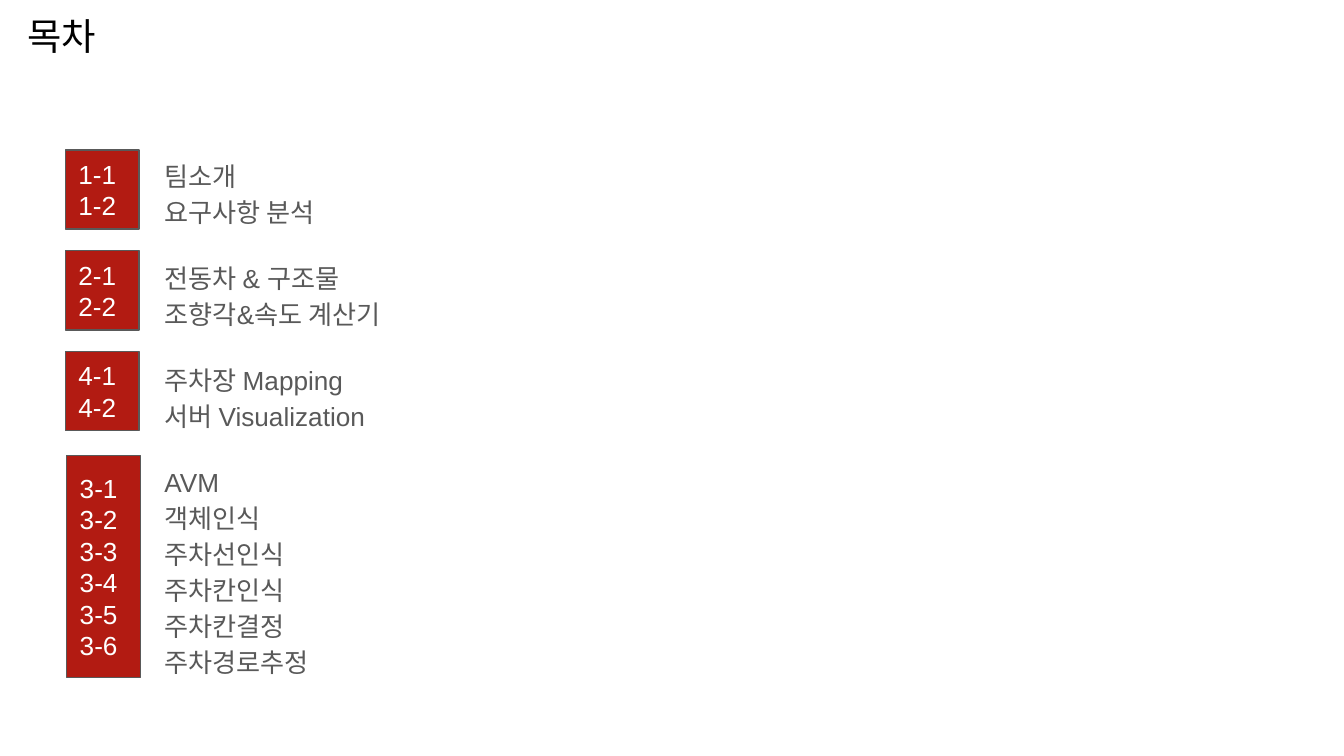
from pptx import Presentation
from pptx.dml.color import RGBColor
from pptx.enum.shapes import MSO_SHAPE
from pptx.enum.text import MSO_ANCHOR, PP_ALIGN
from pptx.util import Pt

PX = 4572  # 200 px to the inch
INSET = 20 * PX
RED, GREY, WHITE, BLACK = "B21B12", "595959", "FFFFFF", "000000"


def color(hex_string):
    return RGBColor.from_string(hex_string)


def write(shape, paragraphs, size, text_color, anchor=MSO_ANCHOR.TOP, line_spacing=1.0, gap=0):
    """Fill a shape with left-aligned paragraphs; gap is the space between them in points."""
    text_frame = shape.text_frame
    text_frame.word_wrap = True
    text_frame.vertical_anchor = anchor
    text_frame.margin_left = text_frame.margin_right = INSET
    text_frame.margin_top = text_frame.margin_bottom = INSET
    text_frame.text = "\n".join(paragraphs)
    for index, paragraph in enumerate(text_frame.paragraphs):
        paragraph.alignment = PP_ALIGN.LEFT
        paragraph.line_spacing = line_spacing
        if index and gap:
            paragraph.space_before = Pt(gap)
        for run in paragraph.runs:
            run.font.name = "Arial"
            run.font.size = Pt(size)
            run.font.color.rgb = color(text_color)


presentation = Presentation()
presentation.slide_width = 2000 * PX
presentation.slide_height = 1125 * PX
slide = presentation.slides.add_slide(presentation.slide_layouts[6])

title = slide.shapes.add_textbox(21 * PX, 0, 1682 * PX, 84 * PX)
write(title, ["목차"], 20, BLACK)

# left, top, height, chapter number, topics
chapters = [
    (97, 223, 118, 1, ["팀소개", "요구사항 분석"]),
    (97, 373, 118, 2, ["전동차 & 구조물", "조향각&속도 계산기"]),
    (97, 523, 118, 4, ["주차장 Mapping", "서버 Visualization"]),
    (99, 678, 330, 3, ["AVM", "객체인식", "주차선인식", "주차칸인식", "주차칸결정", "주차경로추정"]),
]

# Topics of one chapter are parted by line breaks, chapters by paragraphs
contents = slide.shapes.add_textbox(225 * PX, 212 * PX, 742 * PX, 872 * PX)
topic_groups = ["\v".join(topics) for *_, topics in chapters]
write(contents, topic_groups, 14, GREY, line_spacing=1.15, gap=16)

for left, top, height, number, topics in chapters:
    box = slide.shapes.add_shape(MSO_SHAPE.RECTANGLE, left * PX, top * PX, 110 * PX, height * PX)
    box.shadow.inherit = False
    box.fill.solid()
    box.fill.fore_color.rgb = color(RED)
    box.line.color.rgb = color(GREY)
    box.line.width = Pt(0.75)
    labels = [f"{number}-{index}" for index in range(1, len(topics) + 1)]
    # The first chapter keeps its labels in one paragraph
    paragraphs = ["\v".join(labels)] if number == 1 else labels
    write(box, paragraphs, 14, WHITE, anchor=MSO_ANCHOR.MIDDLE)

presentation.save("out.pptx")
